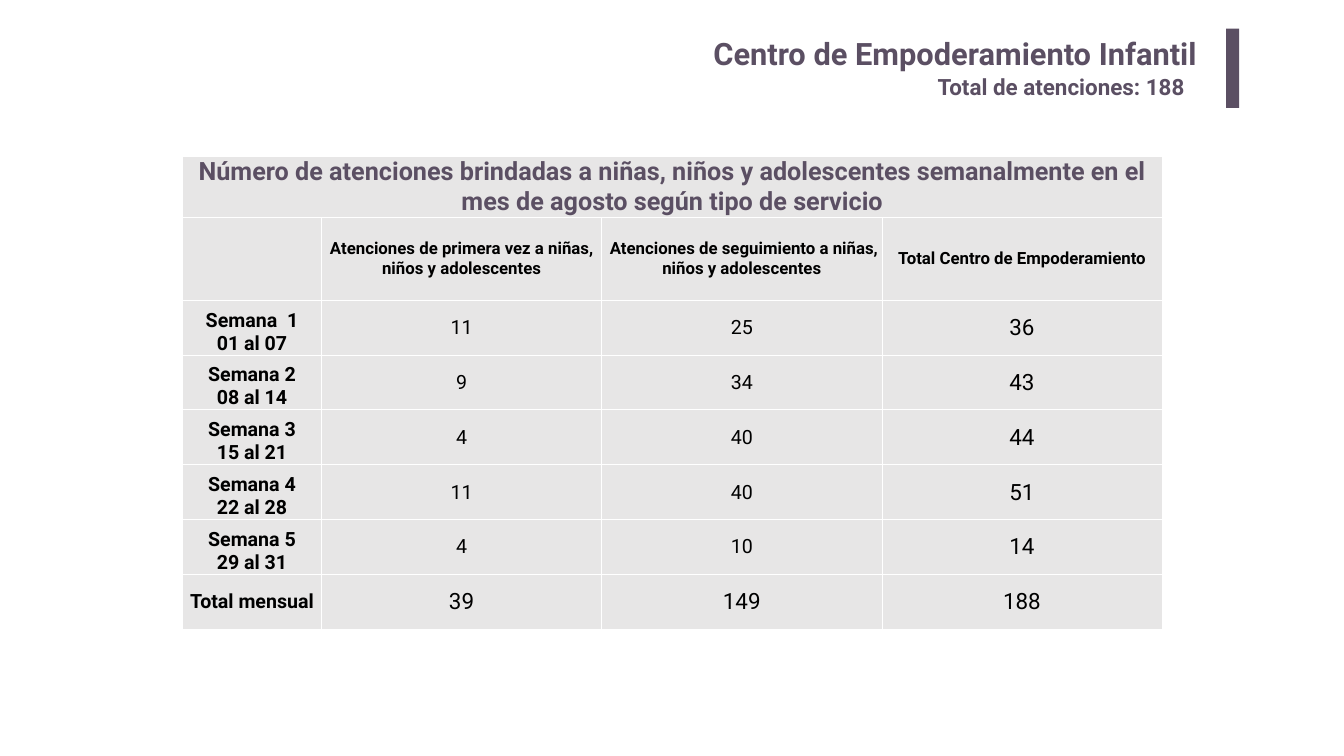
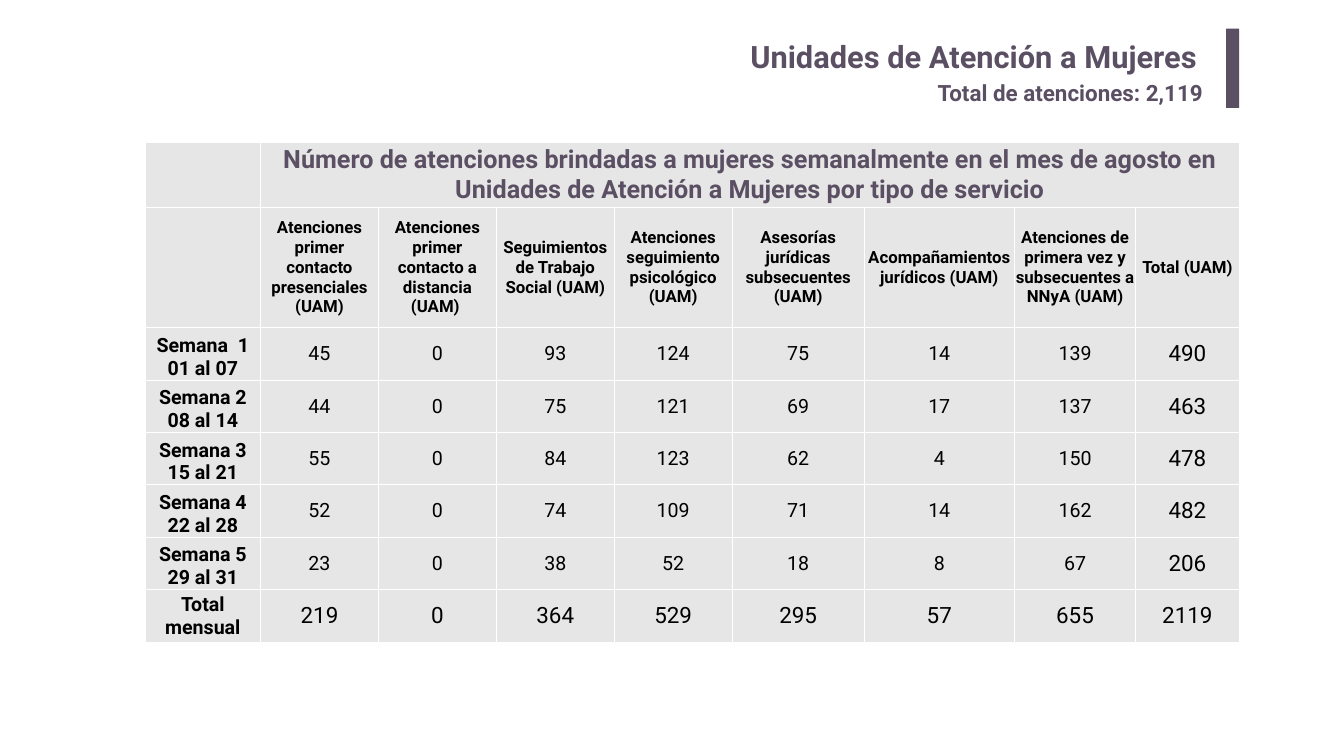
from lxml import etree
from pptx import Presentation
from pptx.dml.color import RGBColor
from pptx.enum.shapes import MSO_SHAPE as Shape
from pptx.enum.text import MSO_ANCHOR as Anchor, MSO_AUTO_SIZE as AutoSize, PP_ALIGN as Align
from pptx.oxml.ns import qn
from pptx.util import Inches, Pt

FONT = "Roboto"
PURPLE = RGBColor(0x5B, 0x4F, 0x63)
GRAY = RGBColor(0xE7, 0xE6, 0xE6)
BLACK = RGBColor(0, 0, 0)
BORDER_COLOR = "FFFFFF"

WEEKS = ["Semana  1\n01 al 07", "Semana 2\n08 al 14", "Semana 3\n15 al 21",
         "Semana 4\n22 al 28", "Semana 5\n29 al 31"]
TOTAL_LABEL = "Total mensual"

CENTERS = [
    {
        "title": "Centro de Empoderamiento Infantil", "title_top": 0.58,
        "subtitle": "Total de atenciones: 188", "subtitle_top": 1.41,
        "heading": "Número de atenciones brindadas a niñas, niños y adolescentes "
                   "semanalmente en el mes de agosto según tipo de servicio",
        "heading_column": 0,
        "services": ["Atenciones de primera vez a niñas, niños y adolescentes",
                     " Atenciones de seguimiento a niñas, niños y adolescentes",
                     "Total Centro de Empoderamiento"],
        "counts": [[11, 25], [9, 34], [4, 40], [11, 40], [4, 10]],
        "left": 3.62, "top": 3.1,
        "widths": [2.76] + [5.56] * 3,
        "heights": [1.09, 1.64] + [1.09] * 6,
    },
    {
        "title": "Unidades de Atención a Mujeres", "title_top": 0.64,
        "subtitle": "Total de atenciones: 2,119", "subtitle_top": 1.53,
        "heading": "Número de atenciones brindadas a mujeres semanalmente en el mes de "
                   "agosto en Unidades de Atención a Mujeres por tipo de servicio",
        "heading_column": 1,
        "services": ["Atenciones primer contacto presenciales (UAM)",
                     "Atenciones primer contacto a distancia (UAM) ",
                     "Seguimientos de Trabajo Social (UAM)",
                     "Atenciones seguimiento psicológico (UAM)",
                     "Asesorías jurídicas subsecuentes (UAM)",
                     "Acompañamientos jurídicos (UAM)",
                     "Atenciones de primera vez y subsecuentes a NNyA (UAM)",
                     "Total (UAM)"],
        "counts": [[45, 0, 93, 124, 75, 14, 139],
                   [44, 0, 75, 121, 69, 17, 137],
                   [55, 0, 84, 123, 62, 4, 150],
                   [52, 0, 74, 109, 71, 14, 162],
                   [23, 0, 38, 52, 18, 8, 67]],
        "left": 2.88, "top": 2.82,
        "widths": [2.29] + [2.34] * 4 + [2.62, 2.98, 2.41, 2.05],
        "heights": [1.29, 2.39] + [1.04] * 6,
    },
]


def write(text_frame, text, size, color, bold=True, align=Align.CENTER):
    """Fill the first paragraph, one run per line of text."""
    paragraph = text_frame.paragraphs[0]
    paragraph.alignment = align
    for index, line in enumerate(text.split("\n")):
        if index:
            paragraph.add_line_break()
        run = paragraph.add_run()
        run.text = line
        run.font.name = FONT
        run.font.size = Pt(size)
        run.font.bold = bold
        run.font.color.rgb = color


def format_cell(cell):
    """Apply the thin white borders, gray fill and tight margins."""
    properties = cell._tc.get_or_add_tcPr()
    for side in ("a:lnL", "a:lnR", "a:lnT", "a:lnB"):
        line = etree.SubElement(properties, qn(side), w=str(Pt(1)))
        fill = etree.SubElement(line, qn("a:solidFill"))
        etree.SubElement(fill, qn("a:srgbClr"), val=BORDER_COLOR)
    cell.fill.solid()
    cell.fill.fore_color.rgb = GRAY
    cell.margin_left = cell.margin_right = cell.margin_top = Inches(0.01)
    cell.margin_bottom = 0
    cell.vertical_anchor = Anchor.MIDDLE


presentation = Presentation()
presentation.slide_width = Inches(26.67)
presentation.slide_height = Inches(15)

for center in CENTERS:
    slide = presentation.slides.add_slide(presentation.slide_layouts[5])

    title = slide.shapes.title
    title.left, title.top = Inches(3.66), Inches(center["title_top"])
    title.width, title.height = Inches(20.3), Inches(1.02)
    frame = title.text_frame
    frame.auto_size = AutoSize.NONE
    frame.word_wrap = True
    frame.vertical_anchor = Anchor.TOP
    frame.margin_left = frame.margin_right = Inches(0.2)
    frame.margin_top = frame.margin_bottom = Inches(0.1)
    write(frame, center["title"], 44, PURPLE, align=Align.RIGHT)

    bar = slide.shapes.add_shape(Shape.RECTANGLE, Inches(24.33), Inches(0.57),
                                 Inches(0.26), Inches(1.57))
    bar.shadow.inherit = False
    bar.fill.solid()
    bar.fill.fore_color.rgb = PURPLE
    bar.line.fill.background()

    subtitle = slide.shapes.add_textbox(Inches(18.51), Inches(center["subtitle_top"]),
                                        Inches(5.51), Inches(0.64))
    subtitle.text_frame.word_wrap = True
    subtitle.text_frame.auto_size = AutoSize.SHAPE_TO_FIT_TEXT
    write(subtitle.text_frame, center["subtitle"], 32, PURPLE, align=Align.LEFT)

    widths, heights = center["widths"], center["heights"]
    table = slide.shapes.add_table(
        len(heights), len(widths), Inches(center["left"]), Inches(center["top"]),
        Inches(sum(widths)), Inches(sum(heights))).table
    table.first_row = table.horz_banding = False
    for column, width in zip(table.columns, widths):
        column.width = Inches(width)
    for row, height in zip(table.rows, heights):
        row.height = Inches(height)
    for cell in table.iter_cells():
        format_cell(cell)

    heading = table.cell(0, center["heading_column"])
    heading.merge(table.cell(0, len(widths) - 1))
    write(heading.text_frame, center["heading"], 36, PURPLE)
    for column_index, service in enumerate(center["services"], 1):
        write(table.cell(1, column_index).text_frame, service, 24, BLACK)

    monthly = [sum(column) for column in zip(*center["counts"])]
    for row_index, (label, counts) in enumerate(
            zip(WEEKS + [TOTAL_LABEL], center["counts"] + [monthly]), 2):
        is_total_row = label == TOTAL_LABEL
        label_cell = table.cell(row_index, 0)
        if not is_total_row:
            label_cell.vertical_anchor = Anchor.BOTTOM
        write(label_cell.text_frame, label, 28, BLACK)
        for column_index, count in enumerate(counts + [sum(counts)], 1):
            is_total = is_total_row or column_index > len(counts)
            write(table.cell(row_index, column_index).text_frame, str(count),
                  32 if is_total else 28, BLACK, bold=False)

presentation.save("out.pptx")
